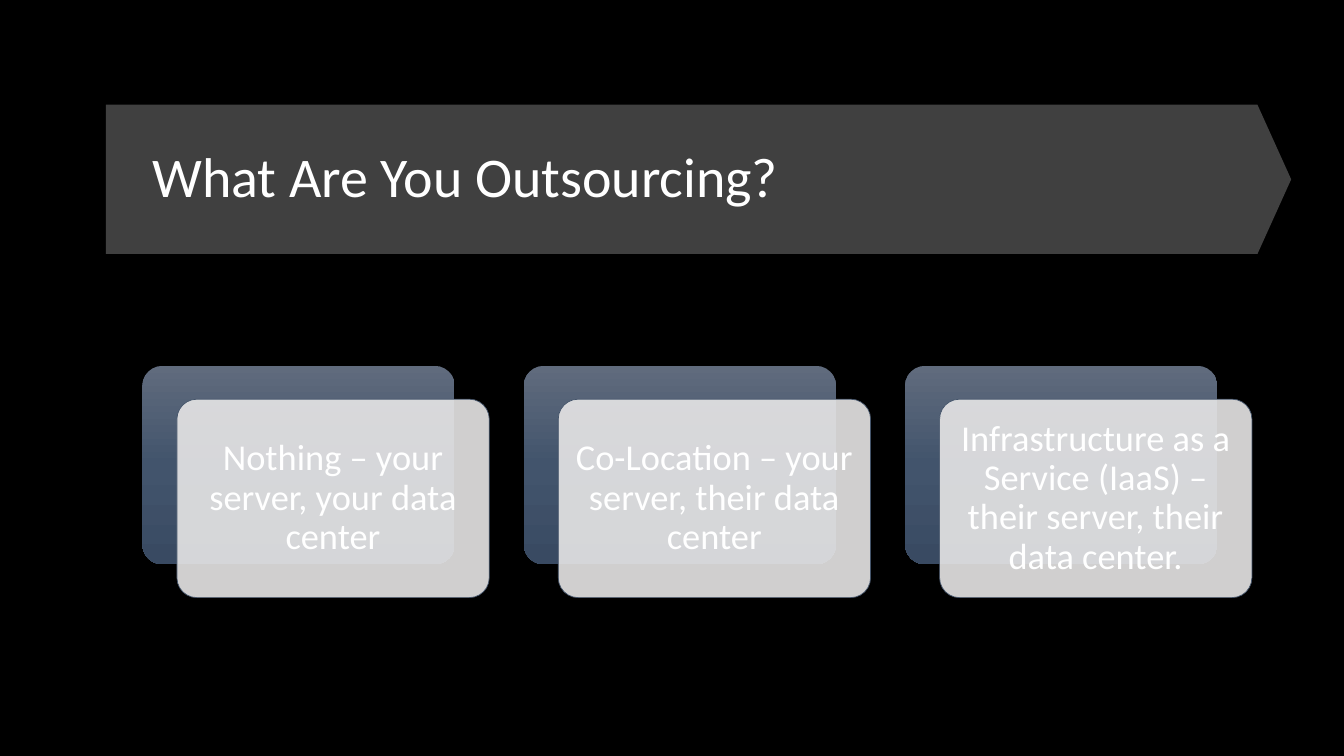
from copy import deepcopy

from lxml.etree import SubElement
from pptx import Presentation
from pptx.dml.color import RGBColor
from pptx.enum.shapes import MSO_SHAPE
from pptx.enum.text import MSO_ANCHOR, PP_ALIGN
from pptx.oxml.ns import qn
from pptx.util import Cm, Pt

COLORS = {
    "background": "000000",
    "banner": "404040",
    "text": "FFFFFF",
    "card": "E7E6E6",
    "card_line": "44546A",
}
BACK_GRADIENT = [(0, "606B7D"), (0.5, "42546C"), (1, "394A62")]
OPTIONS = [
    "Nothing – your server, your data center",
    "Co-Location – your server, their data center",
    "Infrastructure as a Service (IaaS) – their server, their data center.",
]
CARD_LEFT, CARD_TOP, CARD_STEP = 3.59, 9.22, 9.61
CARD_WIDTH, CARD_HEIGHT = 7.87, 5
SHIFT_X, SHIFT_Y = 0.87, 0.84


class Deck:
    font = "Calibri"

    def __init__(self, prs):
        self.s = prs.slides.add_slide(prs.slide_layouts[6])
        self.solid(self.s.background.fill, COLORS["background"])

    def solid(self, fill, color):
        fill.solid()
        fill.fore_color.rgb = RGBColor.from_string(color)

    def shape(self, kind, x, y, w, h, adjustment):
        sp = self.s.shapes.add_shape(kind, Cm(x), Cm(y), Cm(w), Cm(h))
        sp.adjustments[0] = adjustment
        sp.shadow.inherit = False
        sp.line.fill.background()
        return sp

    def text(self, sp, text, size, align, inset, left=None):
        tf = sp.text_frame
        frame = {
            "word_wrap": True,
            "vertical_anchor": MSO_ANCHOR.MIDDLE,
            "margin_left": Cm(inset if left is None else left),
            "margin_right": Cm(inset),
            "margin_top": Cm(inset),
            "margin_bottom": Cm(inset),
        }
        for name, value in frame.items():
            setattr(tf, name, value)
        p = tf.paragraphs[0]
        p.alignment, p.line_spacing = align, 0.9
        r = p.add_run()
        r.text = text
        for name, value in {"name": self.font, "size": Pt(size)}.items():
            setattr(r.font, name, value)
        r.font.color.rgb = RGBColor.from_string(COLORS["text"])

    def banner(self, title):
        sp = self.shape(MSO_SHAPE.PENTAGON, 2.67, 2.64, 29.87, 3.76, 0.226)
        self.solid(sp.fill, COLORS["banner"])
        self.text(sp, title, 40, PP_ALIGN.LEFT, 0.13, left=1.17)

    def back_panel(self, x, y):
        sp = self.shape(MSO_SHAPE.ROUNDED_RECTANGLE, x, y, CARD_WIDTH, CARD_HEIGHT, 0.1)
        sp.fill.gradient()
        sp.fill.gradient_angle = 270
        stops = sp._element.spPr.find(qn("a:gradFill")).find(qn("a:gsLst"))
        stops.insert(1, deepcopy(stops[0]))
        for stop, (position, color) in zip(sp.fill.gradient_stops, BACK_GRADIENT):
            stop.position = position
            stop.color.rgb = RGBColor.from_string(color)

    def card(self, x, y, text):
        """Draw a translucent card shifted over its gradient panel."""
        self.back_panel(x, y)
        sp = self.shape(MSO_SHAPE.ROUNDED_RECTANGLE, x + SHIFT_X, y + SHIFT_Y,
                        CARD_WIDTH, CARD_HEIGHT, 0.1)
        self.solid(sp.fill, COLORS["card"])
        color = sp._element.spPr.find(qn("a:solidFill"))[0]
        SubElement(color, qn("a:alpha"), val="90000")
        self.solid(sp.line.fill, COLORS["card_line"])
        sp.line.width = Pt(0.5)
        self.text(sp, text, 26, PP_ALIGN.CENTER, 0.28)


def main():
    prs = Presentation()
    prs.slide_width, prs.slide_height = Cm(33.87), Cm(19.05)
    deck = Deck(prs)
    deck.banner("What Are You Outsourcing?")
    for i, option in enumerate(OPTIONS):
        deck.card(CARD_LEFT + i * CARD_STEP, CARD_TOP, option)
    prs.save("out.pptx")


if __name__ == "__main__":
    main()
